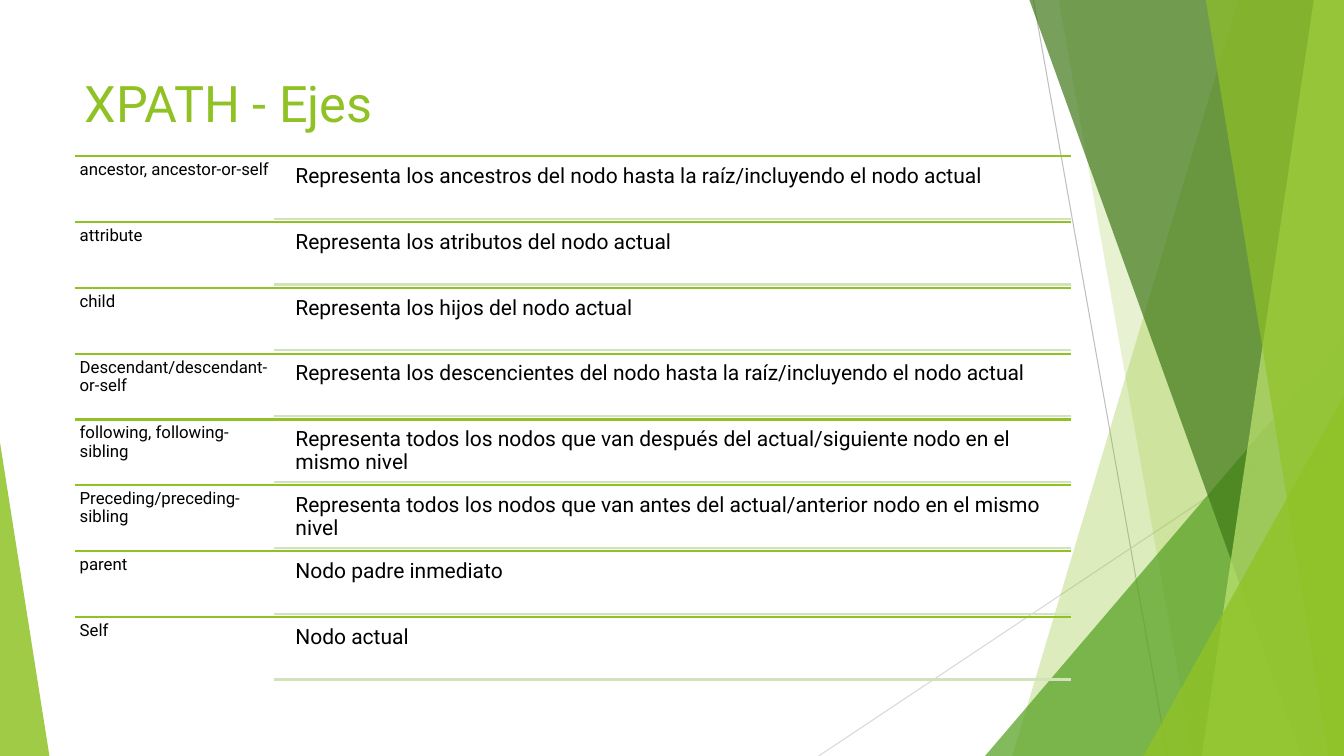
from pptx import Presentation
from pptx.dml.color import RGBColor
from pptx.enum.shapes import MSO_CONNECTOR as CONN, MSO_SHAPE as SHAPE
from pptx.enum.text import MSO_ANCHOR as ANCHOR, PP_ALIGN as ALIGN
from pptx.oxml.ns import qn
from pptx.util import Inches, Pt
from lxml.etree import SubElement

W, H = 13.33, 7.5
GREEN, RULE, PALE = "90C226", "90C223", "D1E3BB"

# Facets from back to front: a quad runs to the right edge from its
# top and bottom x; a triangle has its box and the place of its apex.
FACETS = [
    ("quad", (12.28, 10.04), GREEN, 30),
    ("quad", (10.5, 11.83), GREEN, 20),
    ("triangle", (9.77, 3.33, 3.56, 1), "54A021", 72),
    ("quad", (10.21, 12.91), "3F7818", 70),
    ("quad", (13.03, 11.92), "BFE471", 70),
    ("quad", (11.96, 13.18), GREEN, 65),
    ("triangle", (11.34, 3.93, 1.99, 1), GREEN, 80),
    ("triangle", (0, 4.39, 0.49, 0), GREEN, 85),
]
AXES = [
    ("ancestor, ancestor-or-self",
     "Representa los ancestros del nodo hasta la raíz/incluyendo el nodo actual"),
    ("attribute", "Representa los atributos del nodo actual"),
    ("child", "Representa los hijos del nodo actual"),
    ("Descendant/descendant-or-self",
     "Representa los descencientes del nodo hasta la raíz/incluyendo el nodo actual"),
    ("following, following-sibling",
     "Representa todos los nodos que van después del actual/siguiente nodo en el mismo nivel"),
    ("Preceding/preceding-sibling",
     "Representa todos los nodos que van antes del actual/anterior nodo en el mismo nivel"),
    ("parent", "Nodo padre inmediato"),
    ("Self", "Nodo actual"),
]
LEFT, RIGHT, TOP, ROW_H = 0.74, 10.62, 1.55, 0.653

prs = Presentation()
prs.slide_width, prs.slide_height = Inches(W), Inches(H)
slide = prs.slides.add_slide(prs.slide_layouts[5])
shapes = slide.shapes


def add_line(x1, y1, x2, y2, color, width):
    line = shapes.add_connector(CONN.STRAIGHT, *map(Inches, (x1, y1, x2, y2)))
    line.line.color.rgb = RGBColor.from_string(color)
    line.line.width = Pt(width)
    SubElement(line._element.spPr, qn("a:effectLst"))


def write(sp, box, text, size, color, inset, spacing=None):
    """Place a text shape and fill it with one top-left aligned paragraph."""
    sp.left, sp.top, sp.width, sp.height = map(Inches, box)
    tf = sp.text_frame
    frame = {"word_wrap": True, "vertical_anchor": ANCHOR.TOP}
    for side, margin in zip(("left", "top", "right", "bottom"), inset):
        frame[f"margin_{side}"] = Inches(margin)
    for name, value in frame.items():
        setattr(tf, name, value)
    p = tf.paragraphs[0]
    p.alignment = ALIGN.LEFT
    p.line_spacing = spacing
    r = p.add_run()
    r.text = text
    r.font.name, r.font.size = "Roboto", Pt(size)
    r.font.color.rgb = RGBColor.from_string(color)


add_line(10.25, 0, 11.58, H, "BFBFBF", 0.75)
add_line(W, 4.03, 8.12, H, "D8D8D8", 0.75)

for kind, geometry, color, opacity in FACETS:
    if kind == "quad":
        top_x, bottom_x = geometry
        corners = [(top_x, 0), (W, 0), (W, H), (bottom_x, H)]
        points = [(Inches(x), Inches(y)) for x, y in corners]
        outline = shapes.build_freeform(*points[0])
        outline.add_line_segments(points[1:])
        sp = outline.convert_to_shape()
    else:
        x, y, width, apex = geometry
        sp = shapes.add_shape(SHAPE.ISOSCELES_TRIANGLE,
                              *map(Inches, (x, y, width, H - y)))
        sp.adjustments[0] = apex
    sp.shadow.inherit = False
    sp.line.fill.background()
    sp.fill.solid()
    sp.fill.fore_color.rgb = RGBColor.from_string(color)
    rgb = sp._element.spPr.find(".//" + qn("a:srgbClr"))
    SubElement(rgb, qn("a:alpha")).set("val", str(opacity * 1000))

write(shapes.title, (LEFT, 0.67, 9.4, 1.44), "XPATH - Ejes", 36, GREEN,
      (0.1, 0.05, 0.1, 0.05))

for i, (axis, meaning) in enumerate(AXES):
    y = TOP + i * ROW_H
    add_line(LEFT, y, RIGHT, y, RULE, 1.5)
    write(shapes.add_textbox(0, 0, 0, 0), (LEFT, y, 1.98, 0.65),
          axis, 12, "000000", [0.05] * 4, 0.9)
    write(shapes.add_textbox(0, 0, 0, 0), (2.87, y + 0.03, 7.75, 0.59),
          meaning, 15, "000000", [0.06] * 4, 0.9)
    add_line(2.72, y + 0.62, RIGHT, y + 0.62, PALE, 1.5)

prs.save("out.pptx")
